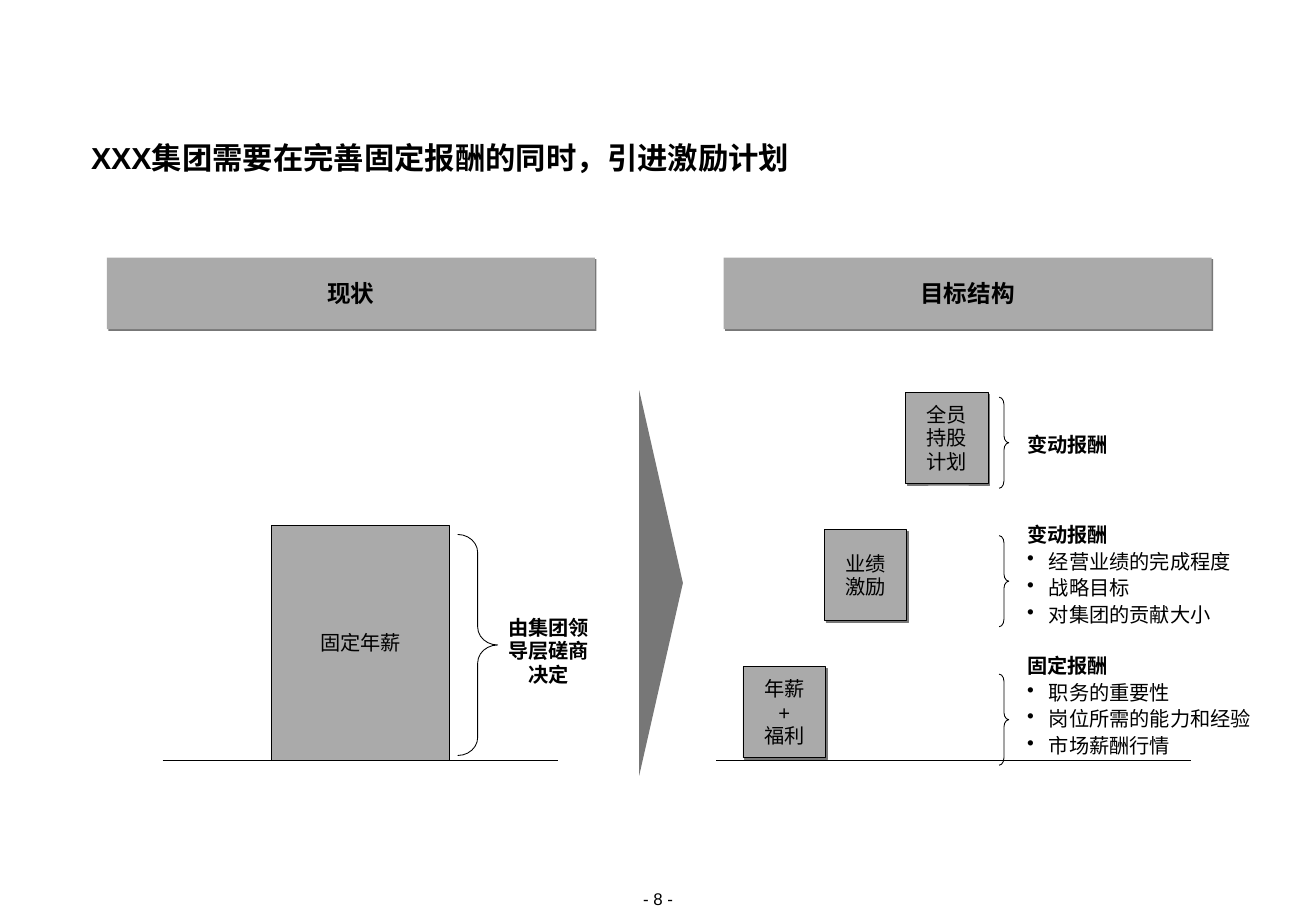
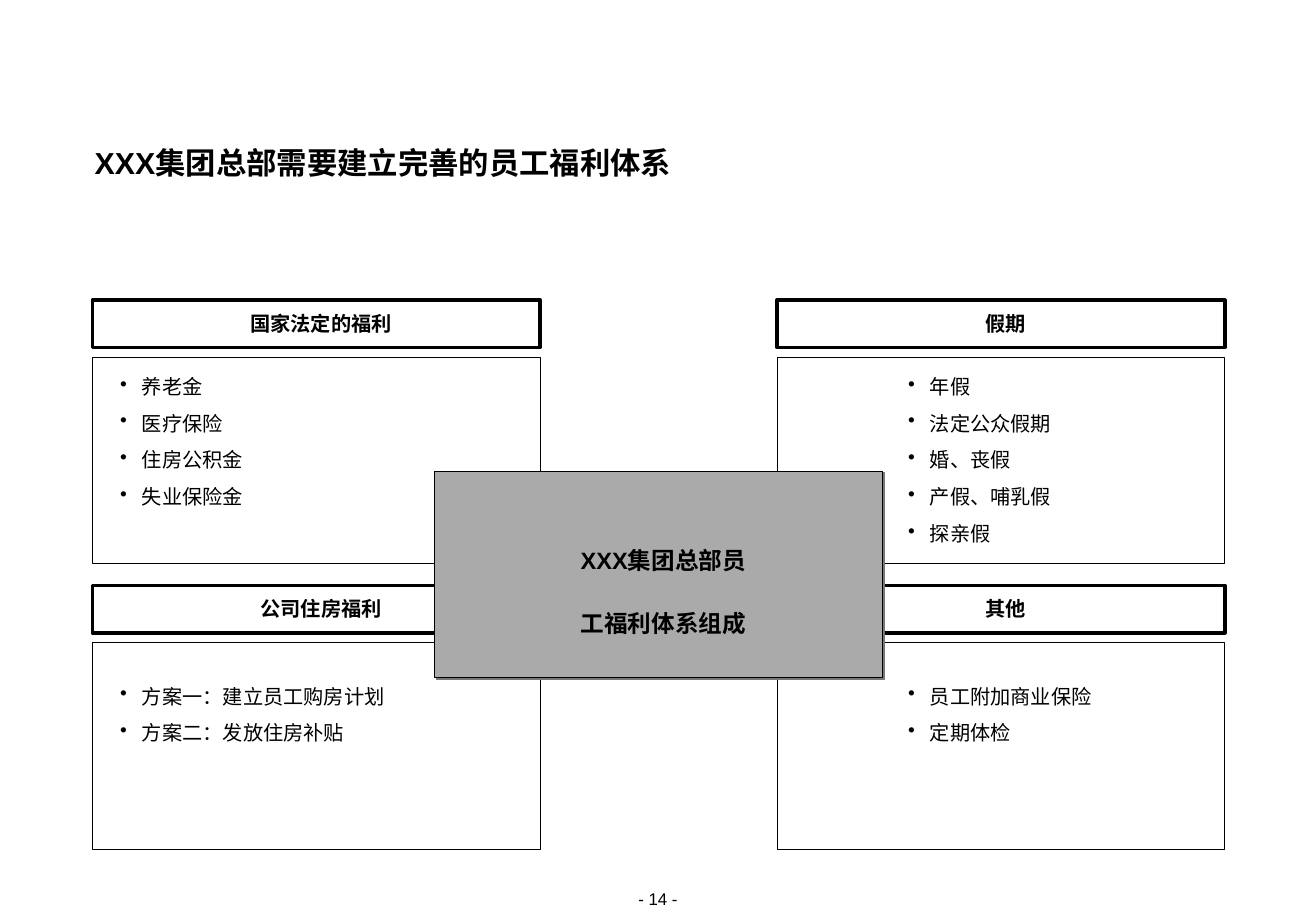
import pptx
import pptx.util
import pptx.dml.color
import pptx.enum.lang
import pptx.enum.shapes
import pptx.enum.text
import pptx.oxml
import pptx.oxml.ns
from lxml import etree

Inches = pptx.util.Inches
Pt = pptx.util.Pt
SHAPE = pptx.enum.shapes.MSO_SHAPE
ALIGN = pptx.enum.text.PP_ALIGN
ANCHOR = pptx.enum.text.MSO_ANCHOR
CHINESE = pptx.enum.lang.MSO_LANGUAGE_ID.SIMPLIFIED_CHINESE
qn = pptx.oxml.ns.qn

COLORS = {"ink": "000000", "fill": "AAAAAA", "arrow": "777777", "shade": "777777"}


def color(name):
    return pptx.dml.color.RGBColor.from_string(COLORS[name])


class Deck:
    font = "Arial"

    def __init__(self):
        self.prs = pptx.Presentation()
        self.prs.slide_width = Inches(10.84)
        self.prs.slide_height = Inches(7.5)
        self.slide = None

    def start(self, title, number, x, y):
        """Open a slide with its title and page number."""
        self.slide = self.prs.slides.add_slide(self.prs.slide_layouts[6])
        self.text(4.85, 7.32, 1.14, 0.17, [f"- {number} -"], size=10, align=ALIGN.CENTER)
        self.text(x, y, 9.33, 0.28, [title], size=18, bold=True, pitch=Pt(20))

    def put(self, frame, lines, size=12, bold=False, align=ALIGN.LEFT, pitch=1.0,
            inset=0, anchor=ANCHOR.TOP):
        """Fill a frame, one paragraph a line; a line feed breaks within one."""
        frame.word_wrap = True
        frame.vertical_anchor = anchor
        frame.margin_left = Inches(inset)
        frame.margin_right = frame.margin_top = frame.margin_bottom = 0
        for i, line in enumerate(lines):
            para = frame.paragraphs[0] if i == 0 else frame.add_paragraph()
            para.alignment = align
            para.line_spacing = pitch
            for j, part in enumerate(line.split("\n")):
                if j:
                    para.add_line_break()
                self.run(para, part, size, bold)

    def run(self, para, text, size, bold):
        run = para.add_run()
        run.text = text
        font = run.font
        font.name, font.size, font.bold = self.font, Pt(size), bold
        font.color.rgb = color("ink")
        font.language_id = CHINESE

    def text(self, x, y, w, h, lines, **style):
        box = self.slide.shapes.add_textbox(Inches(x), Inches(y), Inches(w), Inches(h))
        self.put(box.text_frame, lines, **style)
        return box.text_frame

    def list(self, x, y, w, h, items, head=None, gap=0):
        """Bullet list, under a bold heading if one is given."""
        lines = ([head] if head else []) + items
        frame = self.text(x, y, w, h, lines, pitch=1.1)
        for i, para in enumerate(frame.paragraphs):
            props = para._p.get_or_add_pPr()
            props.set("marL", str(Inches(0.19)))
            props.set("indent", str(Inches(-0.18)))
            if head and i == 0:
                para.runs[0].font.bold = True
            else:
                etree.SubElement(props, qn("a:buChar")).set("char", "•")
            if i and gap:
                para.space_before = Pt(gap)

    def shape(self, kind, x, y, w, h, fill=None, line=None, shade=False):
        shape = self.slide.shapes.add_shape(kind, Inches(x), Inches(y), Inches(w), Inches(h))
        shape.shadow.inherit = False
        if fill:
            shape.fill.solid()
            shape.fill.fore_color.rgb = color(fill)
        else:
            shape.fill.background()
        if line:
            shape.line.color.rgb = color("ink")
            shape.line.width = Pt(line)
        else:
            shape.line.fill.background()
        if shade:
            effects = shape._element.spPr.find(qn("a:effectLst"))
            drop = etree.SubElement(effects, qn("a:outerShdw"), dist=str(Pt(1.4)),
                                    dir="2700000", algn="ctr", rotWithShape="0")
            etree.SubElement(drop, qn("a:srgbClr"), val=COLORS["shade"])
        return shape

    def box(self, x, y, w, h, lines=(), fill=None, line=0.5, shade=False, **style):
        """Rectangle with centred text."""
        shape = self.shape(SHAPE.RECTANGLE, x, y, w, h, fill, line, shade)
        if lines:
            style = {"pitch": Pt(14), **style}
            self.put(shape.text_frame, lines, align=ALIGN.CENTER,
                     anchor=ANCHOR.MIDDLE, **style)

    def brace(self, x, y, w, h, curve):
        shape = self.shape(SHAPE.RIGHT_BRACE, x, y, w, h, line=0.5)
        shape.adjustments[0] = curve

    def rule(self, x, y, end):
        """Level line from x to end."""
        line = self.slide.shapes.add_connector(
            pptx.enum.shapes.MSO_CONNECTOR.STRAIGHT,
            Inches(x), Inches(y), Inches(end), Inches(y))
        line.line.color.rgb = color("ink")
        line.line.width = Pt(0.5)
        etree.SubElement(line._element.spPr, qn("a:effectLst"))


def pay(deck):
    deck.start("XXX集团需要在完善固定报酬的同时，引进激励计划", 8, 0.75, 1.17)
    for x, head in ((0.88, "现状"), (5.96, "目标结构")):
        deck.box(x, 2.12, 4.02, 0.59, [head], fill="fill", line=None, shade=True,
                 size=14, bold=True, pitch=1.0)

    base = 6.26
    deck.rule(1.34, base, 4.6)
    deck.box(2.24, 4.33, 1.46, 1.93, ["固定年薪"], fill="fill")
    deck.brace(3.77, 4.4, 0.33, 1.82, 0.45)
    deck.text(4.11, 5.07, 0.82, 0.58, ["由集团领导层磋商决定"], bold=True,
              align=ALIGN.CENTER, pitch=Pt(14), anchor=ANCHOR.MIDDLE)
    arrow = deck.shape(SHAPE.ISOSCELES_TRIANGLE, 3.86, 4.62, 3.17, 0.36, fill="arrow")
    arrow.rotation = 90

    deck.rule(5.9, base, 9.81)
    steps = [
        (["年薪", "+", "福利"], 5.36, "固定报酬",
         ["职务的重要性", "岗位所需的能力和经验", "市场薪酬行情"]),
        (["业绩", "激励"], 4.28, "变动报酬",
         ["经营业绩的完成程度", "战略目标", "对集团的贡献大小"]),
        (["全员", "持股", "计划"], 3.54, "变动报酬", []),
    ]
    for i, (label, top, head, items) in enumerate(steps):
        y = 5.49 - 1.13 * i
        deck.box(6.12 + 0.67 * i, y, 0.68, 0.75, label, fill="fill", shade=True)
        deck.brace(8.23, 5.55 - 1.14 * i, 0.08, 0.75, 0.75)
        deck.list(8.45, top, 1.89, 0.22 * (1 + len(items)), items, head)


def perks(deck):
    deck.start("XXX集团总部需要建立完善的员工福利体系", 14, 0.78, 1.21)
    wide, high = 3.69, 1.7
    left, right = (0.76, 0.98), (6.4, 7.47)
    upper, lower = (2.47, 3.06), (4.82, 5.61)
    panels = [
        (left, upper, "国家法定的福利", ["养老金", "医疗保险", "住房公积金", "失业保险金"]),
        (right, upper, "假期", ["年假", "法定公众假期", "婚、丧假", "产假、哺乳假", "探亲假"]),
        (left, lower, "公司住房福利", ["方案一：建立员工购房计划", "方案二：发放住房补贴"]),
        (right, lower, "其他", ["员工附加商业保险", "定期体检"]),
    ]
    for (x, inner), (y, top), head, items in panels:
        deck.box(x, y + 0.47, wide, high)
        deck.box(x, y, wide, 0.39, [head], line=2, bold=True, inset=0.08)
        deck.list(inner, top, 2.5, 0.3 * len(items) - 0.08, items, gap=6)
    deck.box(3.58, 3.88, wide, high, ["XXX集团总部员\n工福利体系组成"], fill="fill",
             shade=True, size=14, bold=True, pitch=2.2, inset=0.08)


def main():
    deck = Deck()
    pay(deck)
    perks(deck)
    deck.prs.save("out.pptx")


if __name__ == "__main__":
    main()
